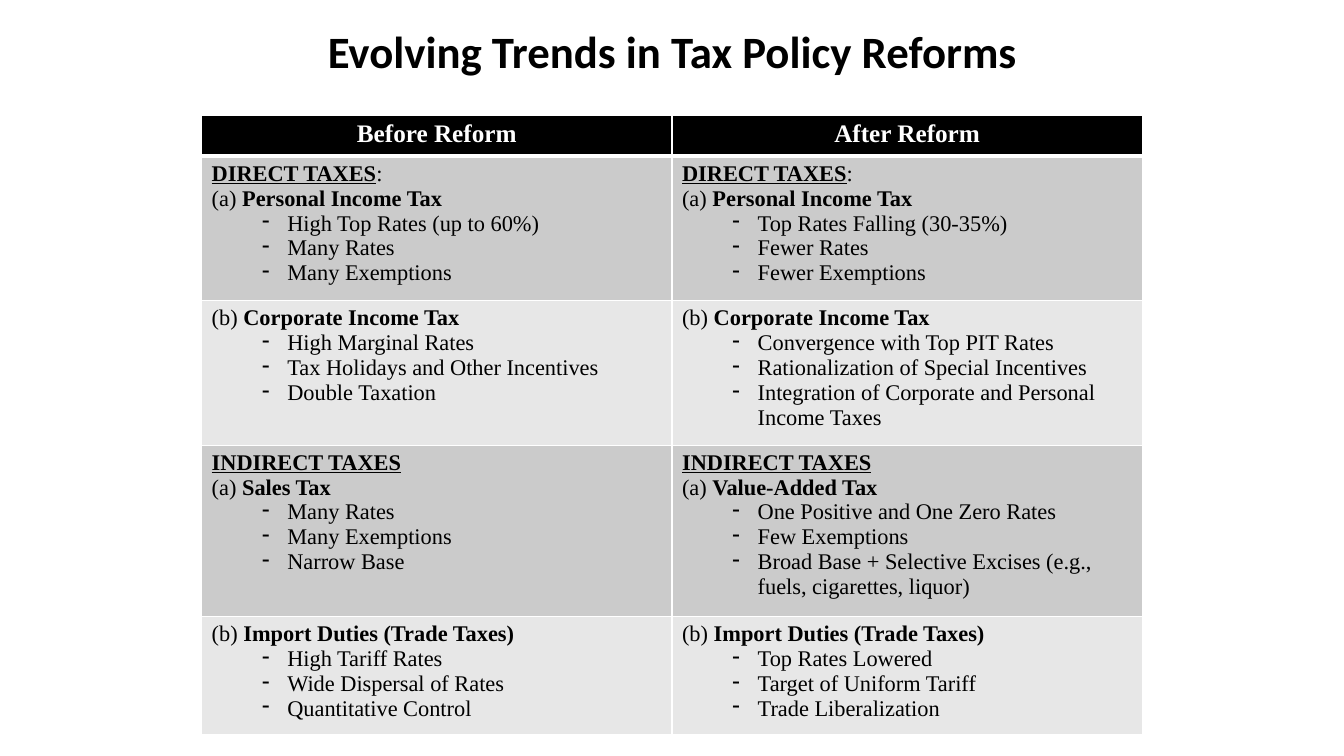
from dataclasses import dataclass

from lxml import etree
from pptx import Presentation
from pptx.dml.color import RGBColor
from pptx.enum.text import MSO_ANCHOR, PP_ALIGN
from pptx.oxml.ns import qn
from pptx.util import Inches, Pt

CENTER = PP_ALIGN.CENTER
MIDDLE = MSO_ANCHOR.MIDDLE
SERIF = "Times New Roman"
COLORS = {"black": "000000", "white": "FFFFFF", "dark": "CBCBCB", "light": "E7E7E7"}


@dataclass
class Entry:
    mark: str
    tax: str
    points: list[str]
    group: str = ""
    tail: str = ""


@dataclass
class Row:
    height: float
    before: Entry
    after: Entry


HEADS = ["Before Reform", "After Reform"]
HEAD_HIGH = 0.41
ROWS = [
    Row(1.43,
        Entry("(a) ", "Personal Income Tax",
              ["High Top Rates (up to 60%)", "Many Rates", "Many Exemptions"],
              "DIRECT TAXES", ":"),
        Entry("(a) ", "Personal Income Tax",
              ["Top Rates Falling (30-35%)", "Fewer Rates", "Fewer Exemptions"],
              "DIRECT TAXES", ":")),
    Row(1.43,
        Entry("(b) ", "Corporate Income Tax",
              ["High Marginal Rates", "Tax Holidays and Other Incentives",
               "Double Taxation"]),
        Entry("(b) ", "Corporate Income Tax",
              ["Convergence with Top PIT Rates",
               "Rationalization of Special Incentives",
               "Integration of Corporate and Personal Income Taxes"])),
    Row(1.7,
        Entry("(a) ", "Sales Tax",
              ["Many Rates", "Many Exemptions", "Narrow Base"], "INDIRECT TAXES"),
        Entry("(a) ", "Value-Added Tax",
              ["One Positive and One Zero Rates", "Few Exemptions",
               "Broad Base + Selective Excises (e.g., fuels, cigarettes, liquor)"],
              "INDIRECT TAXES")),
    Row(1.17,
        Entry("(b) ", "Import Duties (Trade Taxes)",
              ["High Tariff Rates", "Wide Dispersal of Rates",
               "Quantitative Control"]),
        Entry("(b) ", "Import Duties (Trade Taxes)",
              ["Top Rates Lowered", "Target of Uniform Tariff",
               "Trade Liberalization"])),
]


def set_font(para, size: int, color: str, name: str = SERIF) -> None:
    para.font.name = name
    para.font.size = Pt(size)
    para.font.color.rgb = RGBColor.from_string(COLORS[color])


def add_run(para, text: str, bold: bool = False, under: bool = False) -> None:
    run = para.add_run()
    run.text = text
    if bold:
        run.font.bold = True
    if under:
        run.font.underline = True


def add_dash(para) -> None:
    para.level = 1
    props = para._p.get_or_add_pPr()
    props.set("marL", str(Inches(0.75)))
    props.set("indent", str(Inches(-0.25)))
    dash = etree.Element(qn("a:buChar"), char="-")
    props.insert(0, dash)


def style_cell(cell, fill: str, top: int = 1, bottom: int = 1) -> None:
    cell.fill.solid()
    cell.fill.fore_color.rgb = RGBColor.from_string(COLORS[fill])
    props = cell._tc.get_or_add_tcPr()
    sides = [("a:lnL", 1), ("a:lnR", 1), ("a:lnT", top), ("a:lnB", bottom)]
    for spot, (tag, width) in enumerate(sides):
        line = etree.Element(qn(tag), w=str(Pt(width)))
        paint = etree.SubElement(line, qn("a:solidFill"))
        etree.SubElement(paint, qn("a:srgbClr"), val=COLORS["white"])
        props.insert(spot, line)


def fill_cell(cell, entry: Entry) -> None:
    frame = cell.text_frame
    para = frame.paragraphs[0]
    if entry.group:
        set_font(para, 16, "black")
        add_run(para, entry.group, bold=True, under=True)
        if entry.tail:
            add_run(para, entry.tail)
        para = frame.add_paragraph()
    set_font(para, 16, "black")
    add_run(para, entry.mark)
    add_run(para, entry.tax, bold=True)
    for point in entry.points:
        para = frame.add_paragraph()
        set_font(para, 16, "black")
        add_run(para, point)
        add_dash(para)


deck = Presentation()
deck.slide_width, deck.slide_height = Inches(13.33), Inches(7.5)
slide = deck.slides.add_slide(deck.slide_layouts[6])

# Title
title = slide.shapes.add_textbox(Inches(1.67), Inches(0), Inches(10), Inches(1))
frame = title.text_frame
frame.word_wrap = True
frame.vertical_anchor = MIDDLE
para = frame.paragraphs[0]
para.text = "Evolving Trends in Tax Policy Reforms"
para.alignment = CENTER
set_font(para, 32, "black", "Calibri")
para.font.bold = True

# Table grid
heights = [HEAD_HIGH] + [row.height for row in ROWS]
table = slide.shapes.add_table(len(heights), len(HEADS), Inches(2), Inches(1.14),
                               Inches(9.33), Inches(sum(heights))).table
for line, height in zip(table.rows, heights):
    line.height = Inches(height)

# Header row
for col, head in enumerate(HEADS):
    cell = table.cell(0, col)
    style_cell(cell, "black", bottom=3)
    para = cell.text_frame.paragraphs[0]
    para.text = head
    para.alignment = CENTER
    set_font(para, 18, "white")
    para.font.bold = True

# Tax rows in alternating bands
for num, row in enumerate(ROWS, start=1):
    for col, entry in enumerate([row.before, row.after]):
        cell = table.cell(num, col)
        style_cell(cell, "dark" if num % 2 else "light", top=3 if num == 1 else 1)
        fill_cell(cell, entry)

deck.save("out.pptx")
